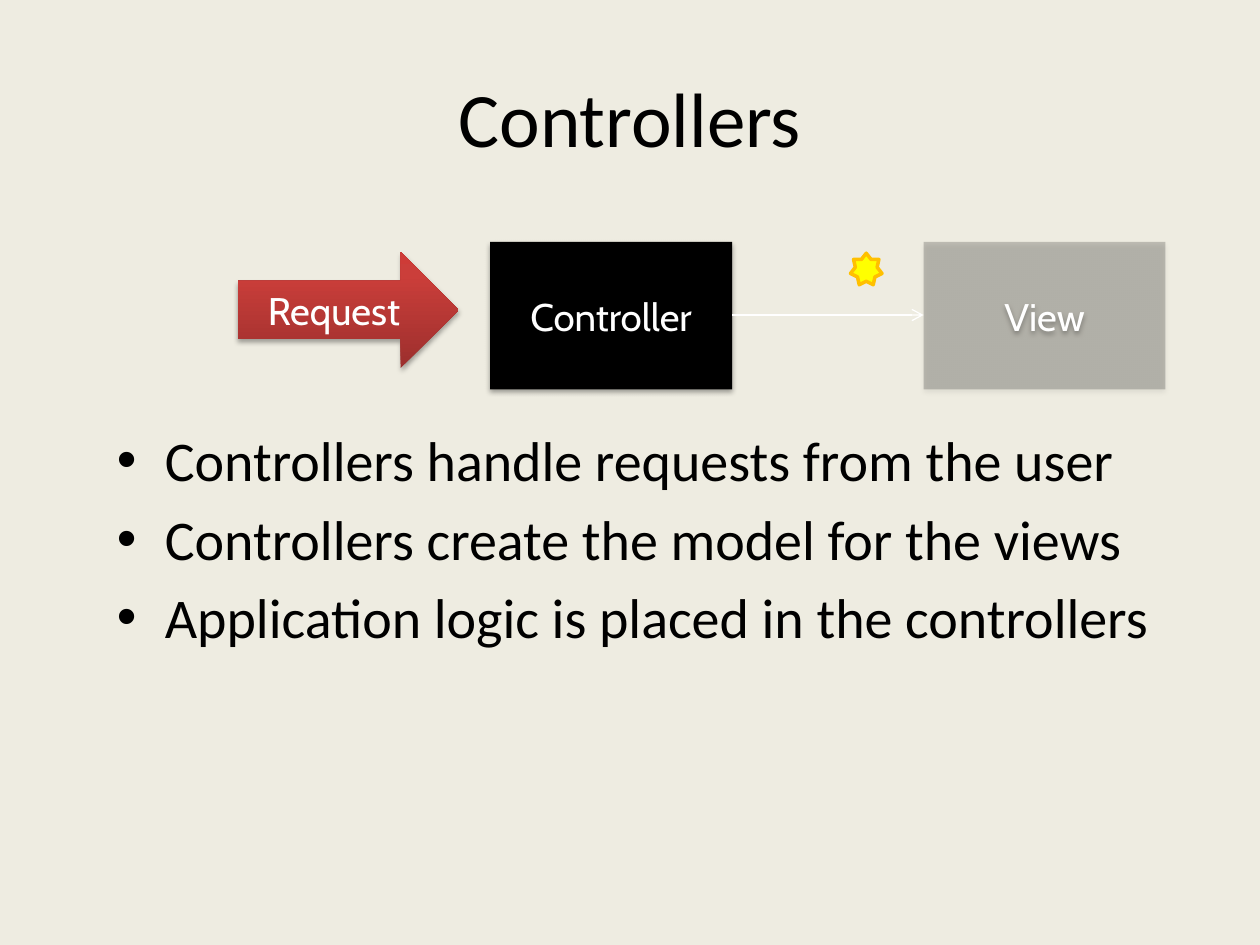
import pptx
import pptx.util
from lxml import etree
from pptx.dml.color import RGBColor
from pptx.enum.shapes import MSO_CONNECTOR, MSO_SHAPE
from pptx.enum.text import MSO_ANCHOR, PP_ALIGN
from pptx.oxml.ns import qn
from pptx.util import Inches, Pt

BACKGROUND = RGBColor(0xEE, 0xEC, 0xE1)
BLACK = RGBColor(0x00, 0x00, 0x00)
WHITE = RGBColor(0xFF, 0xFF, 0xFF)
YELLOW = RGBColor(0xFF, 0xFF, 0x00)
ORANGE = RGBColor(0xFF, 0xC0, 0x00)
RED_STOPS = [
    (0, RGBColor(0x9C, 0x2F, 0x2D)),
    (80, RGBColor(0xCB, 0x3E, 0x3A)),
    (100, RGBColor(0xCE, 0x3B, 0x37)),
]


def add_element(parent, tag, **attributes):
    """Append a DrawingML element to the parent."""
    element = etree.SubElement(parent, qn(tag))
    for name, value in attributes.items():
        element.set(name, str(value))
    return element


def add_block(slide, kind, label, left, top, width, height):
    """Add a black labelled block with a soft shadow below it."""
    block = slide.shapes.add_shape(
        kind, Inches(left), Inches(top), Inches(width), Inches(height))
    block.fill.solid()
    block.fill.fore_color.rgb = BLACK
    block.line.fill.background()
    block.shadow.inherit = False
    effects = block._element.spPr.find(qn("a:effectLst"))
    shadow = add_element(effects, "a:outerShdw", blurRad=Pt(3.1), dist=Pt(1.8),
                         dir=90 * 60000, rotWithShape=0)
    color = add_element(shadow, "a:srgbClr", val=BLACK)
    add_element(color, "a:alpha", val=35000)

    block.text_frame.word_wrap = False
    block.text_frame.vertical_anchor = MSO_ANCHOR.MIDDLE
    paragraph = block.text_frame.paragraphs[0]
    paragraph.text = label
    paragraph.alignment = PP_ALIGN.CENTER
    paragraph.font.name = "Cabin"
    paragraph.font.size = Pt(22)
    paragraph.font.color.rgb = WHITE
    return block


presentation = pptx.Presentation()
presentation.slide_width = Inches(10)
presentation.slide_height = Inches(7.5)
slide = presentation.slides.add_slide(presentation.slide_layouts[5])
slide.background.fill.solid()
slide.background.fill.fore_color.rgb = BACKGROUND

# Title
title = slide.shapes.title
title.left, title.top = Inches(0.5), Inches(0.3)
title.width, title.height = Inches(9), Inches(1.25)
title.text_frame.vertical_anchor = MSO_ANCHOR.MIDDLE
paragraph = title.text_frame.paragraphs[0]
paragraph.text = "Controllers"
paragraph.alignment = PP_ALIGN.CENTER
paragraph.font.name = "Calibri"
paragraph.font.size = Pt(44)
paragraph.font.color.rgb = BLACK

# Request arrow, shaded from bottom to top
request = add_block(slide, MSO_SHAPE.RIGHT_ARROW, "Request", 1.89, 2, 1.75, 0.92)
request.fill.gradient()
request.fill.gradient_angle = 90
stops = request._element.spPr.find(".//" + qn("a:gsLst"))
stops.clear()
for position, color in RED_STOPS:
    stop = add_element(stops, "a:gs", pos=position * 1000)
    add_element(stop, "a:srgbClr", val=color)

# View (translucent) and controller boxes
box_top, box_width, box_height = 1.92, 1.92, 1.17
controller_left, view_left = 3.89, 7.33
view = add_block(slide, MSO_SHAPE.RECTANGLE, "View",
                 view_left, box_top, box_width, box_height)
view_color = view._element.spPr.find(qn("a:solidFill")).find(qn("a:srgbClr"))
add_element(view_color, "a:alpha", val=20000)
add_block(slide, MSO_SHAPE.RECTANGLE, "Controller",
          controller_left, box_top, box_width, box_height)

# Arrow from controller to view
arrow = slide.shapes.add_connector(
    MSO_CONNECTOR.STRAIGHT, Inches(controller_left + box_width), Inches(2.5),
    Inches(view_left), Inches(2.5))
arrow.line.color.rgb = WHITE
arrow.line.width = Pt(0.75)
add_element(arrow.line._get_or_add_ln(), "a:tailEnd", type="arrow")
add_element(arrow._element.spPr, "a:effectLst")

# Star for the model on its way to the view
star = slide.shapes.add_shape(
    MSO_SHAPE.STAR_7_POINT, Inches(6.75), Inches(2.01), Inches(0.25), Inches(0.25))
star.shadow.inherit = False
star.fill.solid()
star.fill.fore_color.rgb = YELLOW
star.line.color.rgb = ORANGE
star.line.width = Pt(2)

# Bullet list
points = [
    "Controllers handle requests from the user",
    "Controllers create the model for the views",
    "Application logic is placed in the controllers",
]
body = slide.shapes.add_textbox(Inches(0.83), Inches(3.33), Inches(8.67), Inches(3.37))
body.text_frame.word_wrap = True
for index, point in enumerate(points):
    paragraph = body.text_frame.add_paragraph() if index else body.text_frame.paragraphs[0]
    paragraph.text = point
    if index:
        paragraph.space_before = Pt(6.4)
    properties = paragraph._p.get_or_add_pPr()
    properties.set("marL", str(Inches(0.38)))
    properties.set("indent", str(Inches(-0.38)))
    add_element(properties, "a:buFont", typeface="Arial")
    add_element(properties, "a:buChar", char="•")
    paragraph.font.name = "Calibri"
    paragraph.font.size = Pt(32)
    paragraph.font.color.rgb = BLACK

presentation.save("out.pptx")
